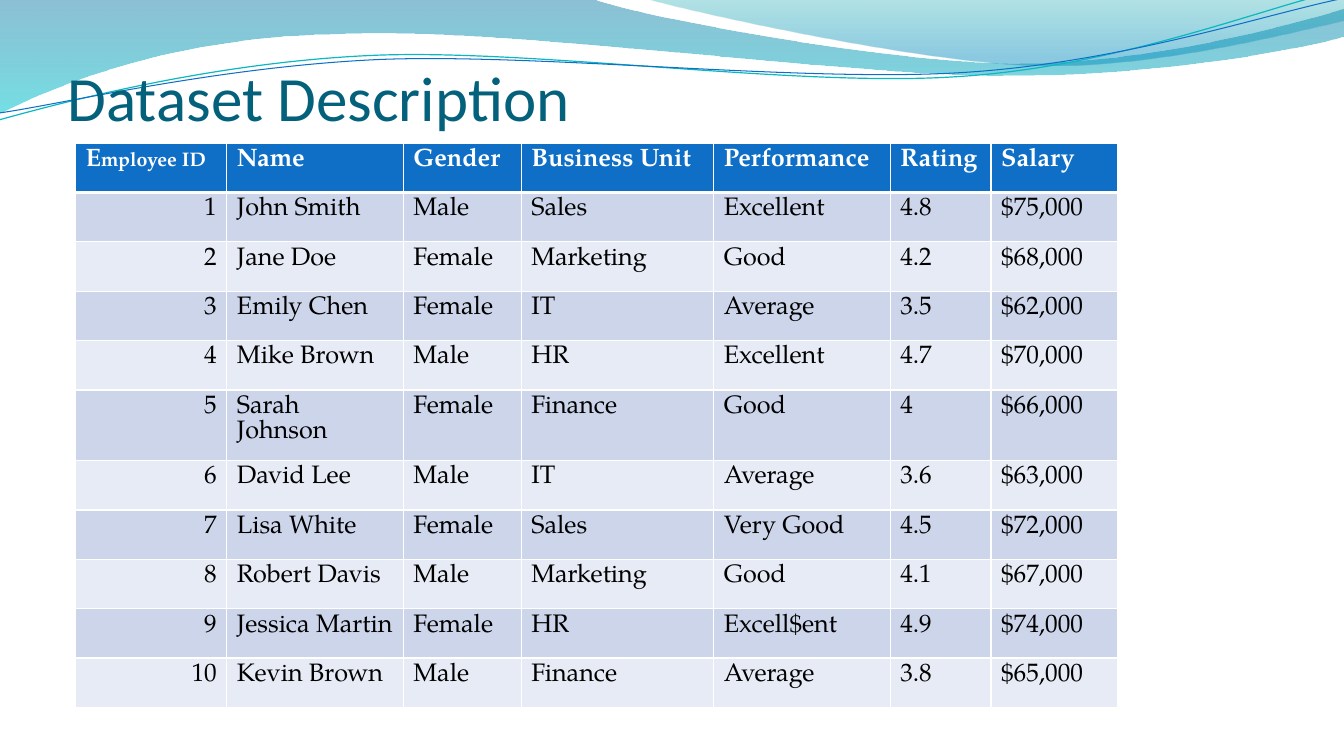
"""Build the Dataset Description slide: wave header, title and employee table."""
import math

from lxml import etree
from pptx import Presentation
from pptx import util as u
from pptx.dml.color import RGBColor
from pptx.enum import text
from pptx.oxml import ns

PX = 9144
TITLE_FONT, TABLE_FONT = "Calibri", "TeX Gyre Pagella"
WHITE = RGBColor(0xFF, 0xFF, 0xFF)
BLACK = RGBColor(0x00, 0x00, 0x00)
TITLE_TEAL = RGBColor(0x04, 0x61, 0x7B)
HEADER_BLUE = RGBColor(0x0F, 0x6F, 0xC6)
LINE_TEAL = RGBColor(0x0A, 0xB8, 0xBF)
BAND_DARK = RGBColor(0xCC, 0xD5, 0xEA)
BAND_LIGHT = RGBColor(0xE7, 0xEB, 0xF5)
DEEP_BLUE = RGBColor(0x00, 0x74, 0xA1)
BRIGHT_CYAN = RGBColor(0x00, 0xC6, 0xCF)
SEA_GREEN = RGBColor(0x00, 0xA1, 0xA9)
SKY_BLUE = RGBColor(0x00, 0x8B, 0xBF)


def add_wave(slide, box, start, segments, closed, tilt=0):
    """Draw lines (one point) and cubic curves (three points), tilted within the box."""
    left, top, width, height = box
    builder = slide.shapes.build_freeform(left * PX, top * PX)
    builder.add_line_segments([((left + width) * PX, (top + height) * PX)], close=closed)
    shape = builder.convert_to_shape()
    shape.shadow.inherit = False
    shape.rotation = tilt
    outline = next(shape.element.iter(ns.qn("a:path")))
    for command in list(outline):
        outline.remove(command)
    cosine, sine = math.cos(math.radians(tilt)), math.sin(math.radians(tilt))
    for index, segment in enumerate([[start], *segments]):
        tag = "a:moveTo" if index == 0 else "a:lnTo" if len(segment) == 1 else "a:cubicBezTo"
        command = etree.SubElement(outline, ns.qn(tag))
        for x, y in segment:
            dx, dy = x - left - width / 2, y - top - height / 2
            etree.SubElement(command, ns.qn("a:pt"),
                             x=str(round((dx * cosine + dy * sine + width / 2) * PX)),
                             y=str(round((dy * cosine - dx * sine + height / 2) * PX)))
    if closed:
        etree.SubElement(outline, ns.qn("a:close"))
    return shape


def add_run(paragraph, content, **formats):
    """Append a run and set its font from the format values."""
    run = paragraph.add_run()
    run.text = content
    run.font.color.rgb = formats.pop("color")
    for name, value in formats.items():
        setattr(run.font, name, value)


presentation = Presentation()
presentation.slide_width, presentation.slide_height = 1333 * PX, 750 * PX
slide = presentation.slides.add_slide(presentation.slide_layouts[6])

filled_waves = [
    ((-1, -1, 1336, 114), (-1, 0),
     [[(587, -1)],
      [(634, 17), (885, 63), (1011, 63)],
      [(1138, 63), (1278, 26), (1333, 9)],
      [(1335, 36)],
      [(1311, 44), (1160, 76), (994, 75)],
      [(829, 75), (509, 28), (343, 34)],
      [(172, 36), (61, 83), (-1, 113)],
      [(-1, 0)]],
     [(0, DEEP_BLUE, 45), (1, BRIGHT_CYAN, 55)]),
    ((639, -1, 694, 70), (639, -1),
     [[(679, 11), (909, 62), (1025, 65)],
      [(1141, 69), (1282, 32), (1333, 21)],
      [(1333, 0)],
      [(639, -1)]],
     [(0, SEA_GREEN, 30), (0.8, SKY_BLUE, 45)]),
]
for box, start, segments, stops in filled_waves:
    shape = add_wave(slide, box, start, segments, True)
    shape.line.fill.background()
    shape.fill.gradient()
    shape.fill.gradient_angle = 270
    for stop, (position, color, _) in zip(shape.fill.gradient_stops, stops):
        stop.position = position
        stop.color.rgb = color
    for color_element, (_, _, opacity) in zip(shape.element.iter(ns.qn("a:srgbClr")), stops):
        etree.SubElement(color_element, ns.qn("a:alpha"), val=str(opacity * 1000))

line_waves = [
    ((-3, 22, 1336, 71), (-1, 119),
     [[(64, 101), (211, 62), (369, 55)],
      [(527, 48), (790, 87), (950, 76)],
      [(1110, 66), (1252, 8), (1331, -10)]],
     LINE_TEAL, 0.85),
    ((-2, 30, 1338, 58), (0, 112),
     [[(63, 103), (218, 66), (378, 59)],
      [(537, 53), (796, 82), (955, 72)],
      [(1115, 62), (1255, 14), (1334, -2)]],
     HEADER_BLUE, 0.75),
]
for box, start, segments, color, width in line_waves:
    shape = add_wave(slide, box, start, segments, False, tilt=357.3)
    shape.fill.background()
    shape.line.color.rgb = color
    shape.line.width = u.Pt(width)

title = slide.shapes.add_textbox(67 * PX, 50 * PX, 1211 * PX, 83 * PX)
title_formats = {"word_wrap": True, "vertical_anchor": text.MSO_ANCHOR.BOTTOM,
                 "margin_left": 0, "margin_top": 5 * PX, "margin_right": 0, "margin_bottom": 0}
for name, value in title_formats.items():
    setattr(title.text_frame, name, value)
add_run(title.text_frame.paragraphs[0], "Dataset Description",
        size=u.Pt(45), name=TITLE_FONT, color=TITLE_TEAL)

header = ["Employee ID", "Name", "Gender", "Business Unit", "Performance", "Rating", "Salary"]
employees = [
    ("John Smith", "Male", "Sales", "Excellent", "4.8", "$75,000"),
    ("Jane Doe", "Female", "Marketing", "Good", "4.2", "$68,000"),
    ("Emily Chen", "Female", "IT", "Average", "3.5", "$62,000"),
    ("Mike Brown", "Male", "HR", "Excellent", "4.7", "$70,000"),
    ("Sarah Johnson", "Female", "Finance", "Good", "4", "$66,000"),
    ("David Lee", "Male", "IT", "Average", "3.6", "$63,000"),
    ("Lisa White", "Female", "Sales", "Very Good", "4.5", "$72,000"),
    ("Robert Davis", "Male", "Marketing", "Good", "4.1", "$67,000"),
    ("Jessica Martin", "Female", "HR", "Excell$ent", "4.9", "$74,000"),
    ("Kevin Brown", "Male", "Finance", "Average", "3.8", "$65,000"),
]
rows = [header] + [(str(number), *employee) for number, employee in enumerate(employees, 1)]
column_widths = [150, 175, 117, 191, 175, 100, 125]
row_height, wrapped_row, wrapped_height = 49, 5, 60
table = slide.shapes.add_table(len(rows), len(header), 75 * PX, 142 * PX,
                               sum(column_widths) * PX, len(rows) * row_height * PX).table
for column, width in zip(table.columns, column_widths):
    column.width = width * PX

for row_index, values in enumerate(rows):
    height = wrapped_height if row_index == wrapped_row else row_height
    table.rows[row_index].height = height * PX
    is_header = row_index == 0
    band = HEADER_BLUE if is_header else (BAND_LIGHT, BAND_DARK)[row_index % 2]
    formats = {"name": TABLE_FONT, "bold": is_header, "color": WHITE if is_header else BLACK}
    edge_widths = {"lnL": 1, "lnR": 1, "lnT": 3 if row_index == 1 else 1,
                   "lnB": 3 if is_header else 1}
    for column_index, value in enumerate(values):
        cell = table.cell(row_index, column_index)
        properties = cell._tc.get_or_add_tcPr()
        for edge, width in edge_widths.items():
            border = etree.SubElement(properties, ns.qn(f"a:{edge}"), w=str(u.Pt(width)))
            border_fill = etree.SubElement(border, ns.qn("a:solidFill"))
            etree.SubElement(border_fill, ns.qn("a:srgbClr"), val=str(WHITE))
        cell.fill.solid()
        cell.fill.fore_color.rgb = band
        paragraph = cell.text_frame.paragraphs[0]
        if is_header and column_index == 0:
            add_run(paragraph, value[0], size=u.Pt(18), **formats)
            add_run(paragraph, value[1:], size=u.Pt(14), **formats)
            continue
        if column_index == 0:
            paragraph.alignment = text.PP_ALIGN.RIGHT
        add_run(paragraph, value, size=u.Pt(18), **formats)

presentation.save("out.pptx")
